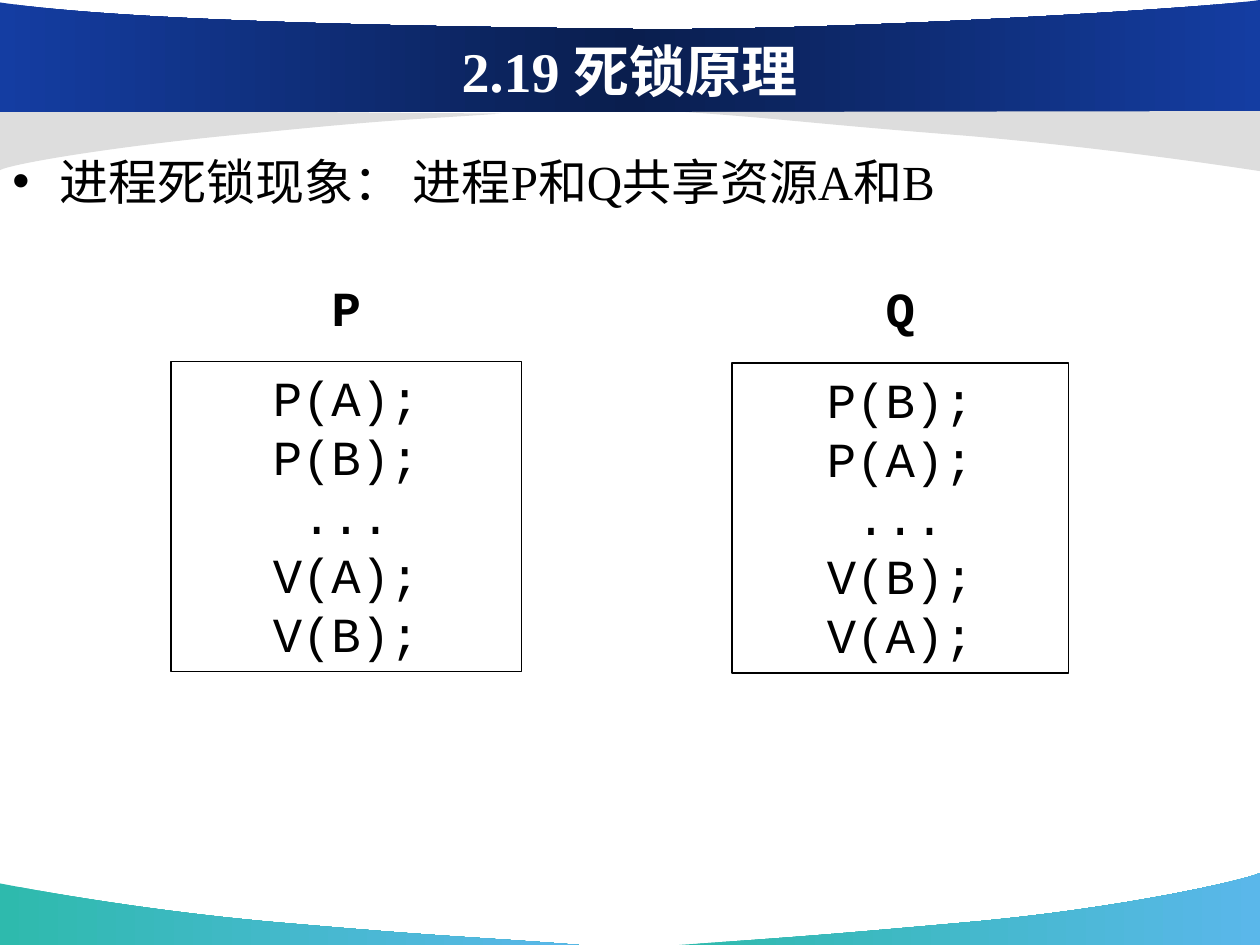
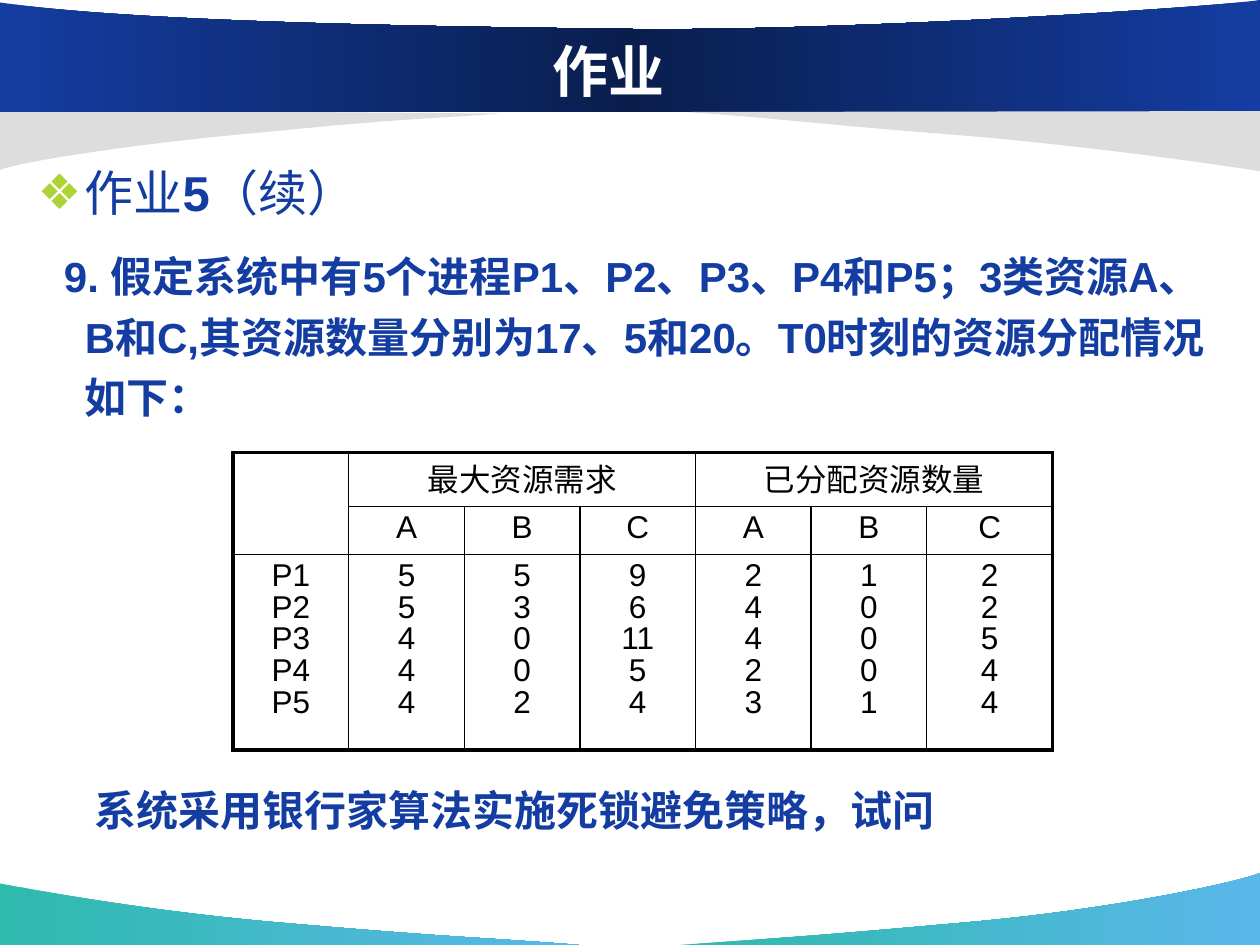
"""Two lecture slides on deadlock: the principle and a homework table."""
from lxml import etree
from copy import deepcopy
from pptx import Presentation
from pptx.dml.color import RGBColor
from pptx.enum.shapes import MSO_SHAPE
from pptx.enum.text import MSO_ANCHOR, PP_ALIGN
from pptx.oxml import parse_xml
from pptx.oxml.ns import nsdecls, qn
from pptx.util import Cm, Pt

BLUE, BLACK, WHITE, LIME = "143DA2", "000000", "FFFFFF", "AED337"
TEAL_TO_SKY = ["2EBAAD", "5AB7EA"]
NAVY_BAND = [BLUE, "0A1E4E", BLUE]
GREY = ["DDDDDD"]
SERIF, SANS, MONO = "Times New Roman", "Arial", "Courier New"

WAVES = [
    (TEAL_TO_SKY,
     [(11.68, 19.05), (9.75, 18.9), (9.09, 18.9), (5.89, 18.62),
      (2.69, 18.36), (0.03, 17.81), (0, 17.81)], [(0, 19.05)]),
    (TEAL_TO_SKY,
     [(13.69, 19.05), (15.6, 18.92), (16.41, 18.87), (19.53, 18.59),
      (22.66, 18.31), (25.15, 17.73), (25.4, 17.6)], [(25.4, 19.05)]),
    (GREY,
     [(10.11, 2.29), (8.41, 2.41), (8.08, 2.39), (5.28, 2.67),
      (2.46, 2.92), (0.23, 3.3), (0, 3.43)], [(0, 2.21)]),
    (NAVY_BAND,
     [(25.4, 0), (24.49, 0.15), (16.59, 0.66), (12.37, 0.58),
      (8.15, 0.53), (2.57, 0.43), (0, 0.05)], [(0, 2.26), (25.4, 2.26)]),
    (GREY,
     [(13.82, 2.26), (15.75, 2.39), (16.31, 2.49), (19.51, 2.74),
      (22.71, 3.02), (25.37, 3.45), (25.4, 3.45)], [(25.4, 2.24)]),
]

PRINCIPLE_TITLE = "2.19 死锁原理"
PHENOMENON = "进程死锁现象： 进程P和Q共享资源A和B"
PROCESSES = [
    ("P", (3.45, 7.29, 7.06, 6.25), ["P(A);", "P(B);", "...", "V(A);", "V(B);"]),
    ("Q", (14.76, 7.32, 6.78, 6.25), ["P(B);", "P(A);", "...", "V(B);", "V(A);"]),
]

HOMEWORK_TITLE = "作业"
HOMEWORK_HEADING = [("作业", False), ("5", True), ("（续）", False)]
PROBLEM = ("9. 假定系统中有5个进程P1、P2、P3、P4和P5；3类资源A、B和C,"
           "其资源数量分别为17、5和20。T0时刻的资源分配情况如下：")
QUESTION = "系统采用银行家算法实施死锁避免策略，试问"
GROUPS = ["最大资源需求", "已分配资源数量"]
RESOURCES = ["A", "B", "C"]
ALLOCATION = [
    ("P1", 5, 5, 9, 2, 1, 2),
    ("P2", 5, 3, 6, 4, 0, 2),
    ("P3", 4, 0, 11, 4, 0, 5),
    ("P4", 4, 0, 5, 2, 0, 4),
    ("P5", 4, 2, 4, 3, 1, 4),
]
COLUMN_WIDTHS = [2.33] * 6 + [2.54]
ROW_HEIGHTS = [1.09, 0.97, 3.94]


def rgb(value):
    return RGBColor.from_string(value)


def style(para, size, face, color, bold=False):
    for span in para.runs:
        span.font.size, span.font.name = Pt(size), face
        span.font.color.rgb = rgb(color)
        if span.font.bold is None:
            span.font.bold = bold


def text_box(page, place, anchor=MSO_ANCHOR.TOP):
    box = page.shapes.add_textbox(*map(Cm, place))
    box.text_frame.word_wrap = True
    box.text_frame.vertical_anchor = anchor
    return box.text_frame


def indent(para, first, symbol=None, color=None):
    properties = para._p.get_or_add_pPr()
    properties.set("marL", str(Cm(0.95)))
    properties.set("indent", str(Cm(first)))
    if color:
        holder = etree.SubElement(properties, qn("a:buClr"))
        etree.SubElement(holder, qn("a:srgbClr"), val=color)
    if symbol:
        etree.SubElement(properties, qn("a:buFont"), typeface=SANS)
        etree.SubElement(properties, qn("a:buChar"), char=symbol)


def bend(wave):
    outline = next(wave._element.iter(qn("a:path")))
    segments = list(outline)[1:7]
    for group in (segments[:3], segments[3:]):
        cubic = etree.Element(qn("a:cubicBezTo"))
        group[0].addprevious(cubic)
        for segment in group:
            cubic.append(segment[0])
            outline.remove(segment)


def paint(shape, colors):
    if len(colors) == 1:
        shape.fill.solid()
        shape.fill.fore_color.rgb = rgb(colors[0])
        return
    shape.fill.gradient()
    shape.fill.gradient_angle = 0
    stops = shape._element.spPr.find(qn("a:gradFill")).find(qn("a:gsLst"))
    while len(stops) < len(colors):
        stops.append(deepcopy(stops[0]))
    for index, (stop, color) in enumerate(zip(shape.fill.gradient_stops, colors)):
        stop.color.rgb = rgb(color)
        stop.position = index / (len(colors) - 1)


def add_page(deck, title, title_place):
    page = deck.slides.add_slide(deck.slide_layouts[6])
    for colors, points, corners in WAVES:
        builder = page.shapes.build_freeform(*map(Cm, points[0]))
        builder.add_line_segments(
            [(Cm(x), Cm(y)) for x, y in points[1:] + corners], close=True)
        wave = builder.convert_to_shape()
        bend(wave)
        wave.shadow.inherit = False
        wave.line.fill.background()
        paint(wave, colors)
    para = text_box(page, title_place, MSO_ANCHOR.MIDDLE).paragraphs[0]
    para.text, para.alignment = title, PP_ALIGN.CENTER
    style(para, 32, SERIF, WHITE, bold=True)
    return page


def fill_code(frame, lines, bold=False):
    frame.text = "\n".join(lines)
    frame.vertical_anchor = MSO_ANCHOR.TOP
    for para in frame.paragraphs:
        para.alignment = PP_ALIGN.CENTER
        style(para, 28, MONO, BLACK, bold)


def add_process(page, name, place, lines):
    left, top, width, height = place
    fill_code(text_box(page, (left, top - 1.82, width, 1.45)), [name], bold=True)
    box = page.shapes.add_shape(MSO_SHAPE.RECTANGLE, *map(Cm, place))
    box.shadow.inherit = False
    box.fill.background()
    box.line.color.rgb, box.line.width = rgb(BLACK), Pt(0.75)
    fill_code(box.text_frame, lines)


def set_borders(cell, row, column):
    last_row = row + (cell.span_height if cell.is_merge_origin else 1)
    last_column = column + (cell.span_width if cell.is_merge_origin else 1)
    outer = {"L": column == 0, "R": last_column == len(COLUMN_WIDTHS),
             "T": row == 0, "B": last_row == len(ROW_HEIGHTS)}
    for side, thick in outer.items():
        cell._tc.get_or_add_tcPr().append(parse_xml(
            f'<a:ln{side} w="{Pt(2.25 if thick else 1)}" {nsdecls("a")}>'
            f'<a:solidFill><a:srgbClr val="{BLACK}"/></a:solidFill></a:ln{side}>'))


def add_allocation(page):
    table = page.shapes.add_table(
        len(ROW_HEIGHTS), len(COLUMN_WIDTHS), Cm(4.7), Cm(9.12),
        Cm(sum(COLUMN_WIDTHS)), Cm(sum(ROW_HEIGHTS))).table
    table.first_row = table.horz_banding = False
    for column, width in zip(table.columns, COLUMN_WIDTHS):
        column.width = Cm(width)
    for row, height in zip(table.rows, ROW_HEIGHTS):
        row.height = Cm(height)
    table.cell(0, 0).merge(table.cell(1, 0))
    for index, group in enumerate(GROUPS):
        start = 1 + index * len(RESOURCES)
        table.cell(0, start).merge(table.cell(0, start + len(RESOURCES) - 1))
        table.cell(0, start).text = group
    for column, name in enumerate(RESOURCES * len(GROUPS), 1):
        table.cell(1, column).text = name
    for column, values in enumerate(zip(*ALLOCATION)):
        table.cell(2, column).text = "\n".join(map(str, values))
    for row in range(len(ROW_HEIGHTS)):
        for column in range(len(COLUMN_WIDTHS)):
            cell = table.cell(row, column)
            set_borders(cell, row, column)
            cell.fill.background()
            if not cell.text:
                cell.margin_top = cell.margin_bottom = 0
            for para in cell.text_frame.paragraphs:
                para.alignment, para.line_spacing = PP_ALIGN.CENTER, 0.9
                style(para, 18, SANS, BLACK)


def build_principle(deck):
    page = add_page(deck, PRINCIPLE_TITLE, (1.27, 0.11, 22.86, 2.59))
    para = text_box(page, (0, 2.92, 25.4, 14.4)).paragraphs[0]
    para.text = PHENOMENON
    indent(para, -0.95, "•")
    style(para, 28, SERIF, BLACK)
    for process in PROCESSES:
        add_process(page, *process)


def build_homework(deck):
    page = add_page(deck, HOMEWORK_TITLE, (2.32, 0.62, 19.89, 1.57))
    frame = text_box(page, (0.51, 2.92, 24.41, 14.4))
    heading = frame.paragraphs[0]
    problem, question = frame.add_paragraph(), frame.add_paragraph()
    for words, bold in HOMEWORK_HEADING:
        span = heading.add_run()
        span.text, span.font.bold = words, bold
    problem.text, question.text = PROBLEM, QUESTION
    problem.space_before, question.space_before = Pt(11), Pt(201.5)
    indent(heading, -0.95, "❖", LIME)
    indent(problem, -0.42)
    indent(question, 0.2)
    style(heading, 28, SANS, BLUE)
    for para in (problem, question):
        style(para, 24, SANS, BLUE, bold=True)
    for para in frame.paragraphs:
        para.line_spacing = 1.2
    add_allocation(page)


def main():
    deck = Presentation()
    deck.slide_width, deck.slide_height = Cm(25.4), Cm(19.05)
    build_principle(deck)
    build_homework(deck)
    deck.save("out.pptx")


if __name__ == "__main__":
    main()
